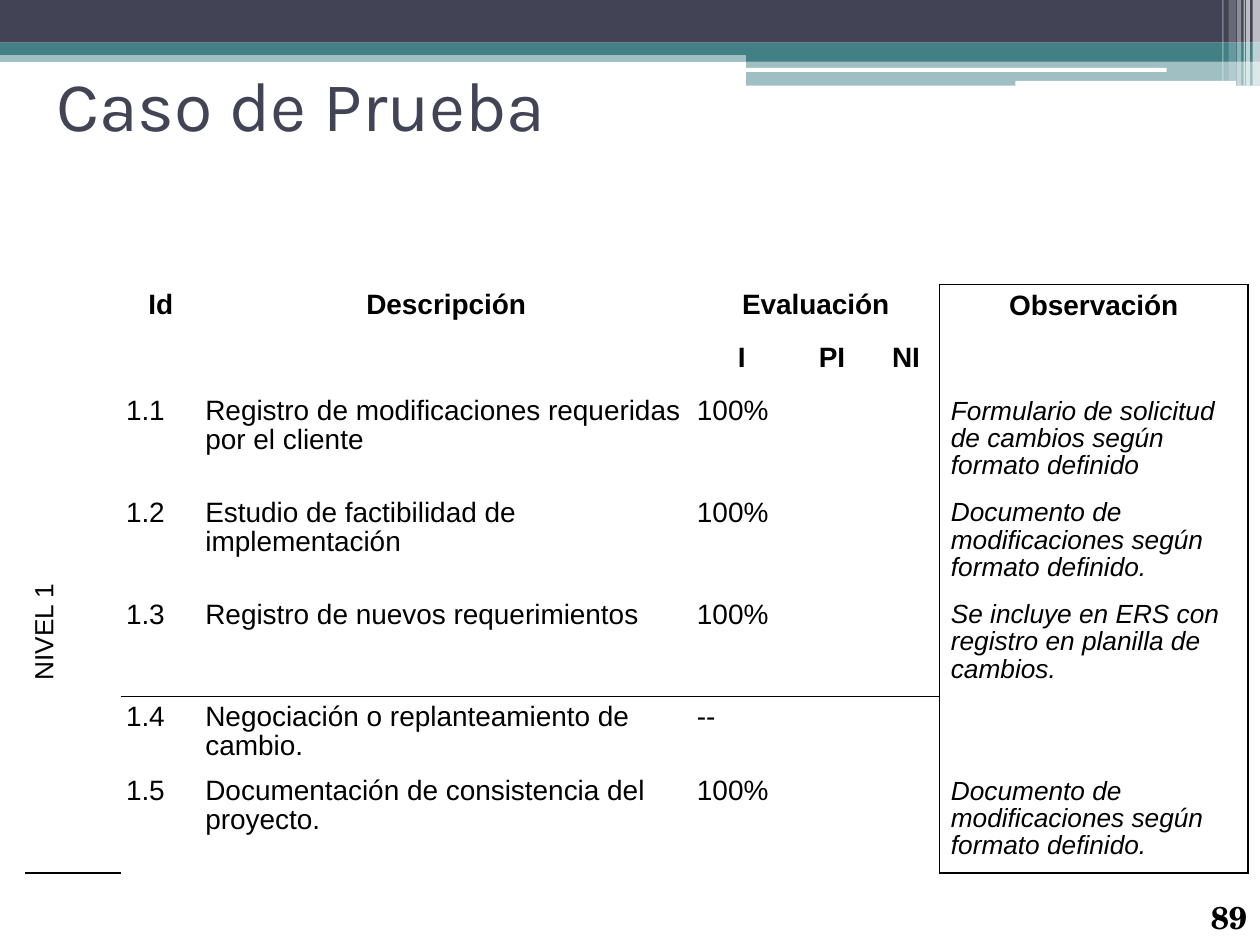
from pptx import Presentation
from pptx.dml.color import RGBColor as Rgb
from pptx.enum.shapes import MSO_SHAPE as Kind
from pptx.enum.text import MSO_ANCHOR as Anchor, PP_ALIGN as Align
from pptx.oxml.ns import qn
from pptx.util import Cm, Pt
from lxml.etree import SubElement as Sub

THEME = dict(
    dark="424456", teal="438086", white="FFFFFF", black="000000",
    head="Karla", body="Arial", serif="TeX Gyre Schola",
    title=40, page=18, cell=16, note=15,
)

# Content
TITLE = "Caso de Prueba"
PAGE = "89"
HEADS = [
    ["", "Id", "Descripción", "Evaluación", "", "", "Observación"],
    ["", "", "", "I", "PI", "NI", ""],
]
TESTS = [
    ("1.1", "Registro de modificaciones requeridas por el cliente", "100%",
     "Formulario de solicitud de cambios según formato definido"),
    ("1.2", "Estudio de factibilidad de implementación", "100%",
     "Documento de modificaciones según formato definido."),
    ("1.3", "Registro de nuevos requerimientos", "100%",
     "Se incluye en ERS con registro en planilla de cambios."),
    ("1.4", "Negociación o replanteamiento de cambio.", "--", ""),
    ("1.5", "Documentación de consistencia del proyecto.", "100%",
     "Documento de modificaciones según formato definido."),
]
LEVEL = "NIVEL 1"
WIDTHS = [1.93, 1.6, 9.91, 2.01, 1.63, 1.35, 6.22]
HEIGHTS = [1.07, 1.07, 1.98, 1.98, 1.98, 1.5, 1.98]
SPANS = [(0, 1, 1, 1), (0, 2, 1, 2), (0, 3, 0, 5), (0, 6, 1, 6), (2, 0, 6, 0)]

# Banner parts: left, top, width, height, colour, opacity in percent
BANDS = [
    (0, 1.02, 25.4, 0.23, "teal", 50),
    (0, 0, 25.4, 0.86, "dark", 100),
    (0, 0.86, 25.4, 0.25, "teal", 100),
    (15.04, 0.99, 10.36, 0.25, "teal", 100),
    (15.04, 1.22, 10.36, 0.51, "teal", 50),
]
BARS = [
    (15.01, 1.37, 8.51, 0.08, "white", 100),
    (20.47, 1.63, 4.45, 0.1, "white", 100),
]
STRIPES = [
    (x, 0, w, h, "white", a) for x, w, h, a in [
        (25.25, 0.15, 1.73, 65), (25.12, 0.08, 1.73, 65),
        (25.07, 0.03, 1.73, 60), (24.94, 0.08, 1.73, 40),
        (24.77, 0.15, 1.63, 20), (24.64, 0.03, 1.63, 30),
    ]
]


def style(par, size, face, color="black", bold=False, italic=False):
    font = par.font
    font.size, font.name = Pt(THEME[size]), THEME[face]
    font.bold, font.italic = bold, italic
    font.color.rgb = Rgb.from_string(THEME[color])


def inset(part, left, top, right, base):
    part.margin_left, part.margin_top = Cm(left), Cm(top)
    part.margin_right, part.margin_bottom = Cm(right), Cm(base)


def add_bar(slide, kind, left, top, width, height, color, alpha):
    bar = slide.shapes.add_shape(kind, Cm(left), Cm(top), Cm(width), Cm(height))
    bar.shadow.inherit = False
    bar.line.fill.background()
    bar.fill.solid()
    bar.fill.fore_color.rgb = Rgb.from_string(THEME[color])
    if alpha < 100:
        tone = bar.fill._xPr.find(qn("a:solidFill"))[0]
        Sub(tone, qn("a:alpha"), val=str(alpha * 1000))


def edges(row, col):
    """Sides of a cell that carry a visible rule."""
    last = len(HEIGHTS) - 1
    rules = {
        "L": col == 6,
        "R": col in (5, 6),
        "T": (row == 0 and col == 6) or (row == 5 and 1 <= col <= 5),
        "B": (row == 4 and 1 <= col <= 5) or (row == last and col in (0, 6))
             or (row, col) == (2, 0),
    }
    return rules


def rule(cell, sides):
    props = cell._tc.get_or_add_tcPr()
    for spot, (side, shown) in enumerate(sides.items()):
        line = props.makeelement(qn("a:ln" + side), {"w": str(Pt(1))})
        props.insert(spot, line)
        if shown:
            Sub(Sub(line, qn("a:solidFill")), qn("a:srgbClr"), val=THEME["black"])
        else:
            Sub(line, qn("a:noFill"))


def add_grid(slide):
    rows = HEADS + [["", key, text, rate, "", "", note]
                    for key, text, rate, note in TESTS]
    rows[2][0] = LEVEL
    grid = slide.shapes.add_table(
        len(rows), len(WIDTHS), Cm(0.51), Cm(5.74),
        Cm(sum(WIDTHS)), Cm(sum(HEIGHTS))).table
    grid.first_row = grid.horz_banding = False
    for col, width in zip(grid.columns, WIDTHS):
        col.width = Cm(width)
    for row, height in zip(grid.rows, HEIGHTS):
        row.height = Cm(height)
    for top, left, base, right in SPANS:
        grid.cell(top, left).merge(grid.cell(base, right))

    for r, row in enumerate(rows):
        for c, text in enumerate(row):
            cell = grid.cell(r, c)
            head, side, note = r < 2, c == 0, c == 6
            cell.fill.background()
            inset(cell, *((0.23, 0.15, 0.23, 0.13) if note
                          else (0.1, 0.13, 0.1, 0.1)))
            cell.text = text
            par = cell.text_frame.paragraphs[0]
            par.line_spacing = 0.93
            par.alignment = Align.CENTER if head or side else Align.LEFT
            small = not head and (side or note)
            style(par, "note" if small else "cell", "body",
                  bold=head, italic=note and not head)
            rule(cell, edges(r, c))
    level = grid.cell(2, 0)
    level.vertical_anchor = Anchor.MIDDLE
    level._tc.get_or_add_tcPr().set("vert", "vert270")


def main():
    deck = Presentation()
    deck.slide_width, deck.slide_height = Cm(25.4), Cm(19.05)
    slide = deck.slides.add_slide(deck.slide_layouts[5])

    # Banner
    for band in BANDS:
        add_bar(slide, Kind.RECTANGLE, *band)
    for bar in BARS:
        add_bar(slide, Kind.ROUNDED_RECTANGLE, *bar)
    for stripe in STRIPES:
        add_bar(slide, Kind.RECTANGLE, *stripe)

    # Title
    title = slide.shapes.title
    title.left, title.top = Cm(0.91), Cm(0.23)
    title.width, title.height = Cm(23.6), Cm(3.76)
    frame = title.text_frame
    frame.text = TITLE
    frame.vertical_anchor = Anchor.MIDDLE
    inset(frame, 0.23, 0.1, 0.23, 0.13)
    par = frame.paragraphs[0]
    par.alignment = Align.LEFT
    style(par, "title", "head", "dark")

    # Page number
    box = slide.shapes.add_textbox(Cm(24.18), Cm(17.96), Cm(1.22), Cm(1.09))
    frame = box.text_frame
    frame.text = PAGE
    frame.word_wrap = False
    inset(frame, 0.23, 0.15, 0.23, 0.1)
    style(frame.paragraphs[0], "page", "serif", bold=True)

    # Test table
    add_grid(slide)
    deck.save("out.pptx")


if __name__ == "__main__":
    main()
